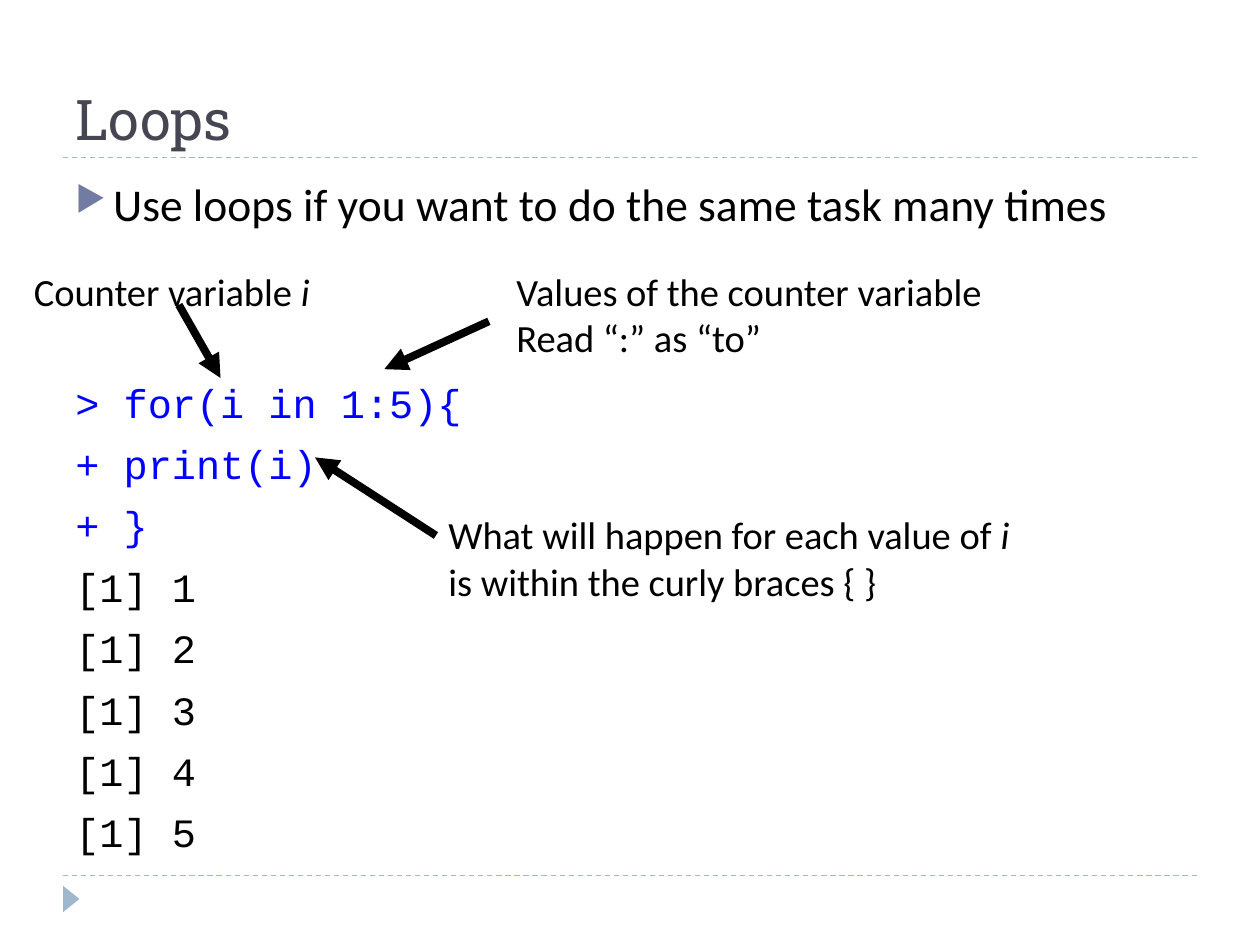
from lxml.etree import SubElement
from pptx import Presentation
from pptx.dml.color import RGBColor
from pptx.enum.dml import MSO_LINE
from pptx.enum.shapes import MSO_CONNECTOR, MSO_SHAPE
from pptx.enum.text import MSO_ANCHOR
from pptx.oxml.ns import qn
from pptx.util import Inches, Pt

COLORS = {
    "title": "464653",
    "rule": "9FB8CD",
    "bullet": "727CA3",
    "code": "0000FF",
    "text": "000000",
}


def rgb(name):
    return RGBColor.from_string(COLORS[name])


def add_text(s, box, paragraphs, size=22, font="Calibri", color="text",
             anchor=MSO_ANCHOR.TOP, gap=0):
    tf = s.shapes.add_textbox(*map(Inches, box)).text_frame
    tf.word_wrap = True
    tf.vertical_anchor = anchor
    for i, runs in enumerate(paragraphs):
        p = tf.paragraphs[0] if i == 0 else tf.add_paragraph()
        p.space_before = Pt(gap if i else 0)
        for text, style in runs:
            r = p.add_run()
            r.text = text
            r.font.name = font
            r.font.size = Pt(size)
            r.font.italic = style == "italic"
            r.font.color.rgb = rgb(style if style in COLORS else color)
    return tf


def add_line(s, start, end, color, width):
    line = s.shapes.add_connector(
        MSO_CONNECTOR.STRAIGHT, *map(Inches, (*start, *end)))
    line.line.color.rgb = rgb(color)
    line.line.width = Pt(width)
    SubElement(line._element.spPr, qn("a:effectLst"))
    return line


def add_rule(s, left, top, width):
    rule = add_line(s, (left, top), (left + width, top), "rule", 0.75)
    rule.line.dash_style = MSO_LINE.DASH


def add_arrow(s, start, end):
    arrow = add_line(s, start, end, "text", 4.5)
    SubElement(arrow.line._get_or_add_ln(), qn("a:tailEnd"), type="triangle")


def add_bullet(p, char, color, percent, indent):
    pPr = p._p.get_or_add_pPr()
    pPr.set("marL", str(Inches(indent)))
    pPr.set("indent", str(-Inches(indent)))
    clr = SubElement(pPr, qn("a:buClr"))
    SubElement(clr, qn("a:srgbClr"), val=COLORS[color])
    SubElement(pPr, qn("a:buSzPct"), val=str(percent * 1000))
    SubElement(pPr, qn("a:buChar"), char=char)


def add_header(s, left, top, width, height):
    add_text(s, (left, top, width, height), [[("Loops", "title")]],
             size=32, font="Roboto Slab", anchor=MSO_ANCHOR.BOTTOM)
    add_rule(s, left, top + height, width)


def add_footer(s, left, top, width):
    add_rule(s, left, top, width)
    mark = s.shapes.add_shape(
        MSO_SHAPE.ISOSCELES_TRIANGLE,
        Inches(left - 0.04), Inches(top + 0.12), Inches(0.21), Inches(0.13))
    mark.rotation = 90
    mark.shadow.inherit = False
    mark.fill.solid()
    mark.fill.fore_color.rgb = rgb("rule")
    mark.line.fill.background()


def add_body(s, left, top, width):
    tf = add_text(
        s, (left, top, width, 0.55),
        [[("Use loops if you want to do the same task many times", "text")]],
        size=26)
    add_bullet(tf.paragraphs[0], "▶", "bullet", 76, 0.3)
    code = ["> for(i in 1:5){", "+ print(i)", "+ }"]
    output = [f"[1] {n}" for n in range(1, 6)]
    lines = [[(t, "code")] for t in code] + [[(t, "text")] for t in output]
    add_text(s, (left, top + 1.6, width, 3.8), lines,
             size=23, font="Courier New", gap=7.5)


def add_notes(s, left, top):
    add_text(s, (left, top, 2.58, 0.47),
             [[("Counter variable ", "text"), ("i", "italic")]])
    add_arrow(s, (left + 1.25, top + 0.34), (left + 1.58, top + 0.92))
    add_text(s, (left + 3.83, top, 4.08, 0.84),
             [[("Values of the counter variable", "text")],
              [("Read “:” as “to”", "text")]])
    add_arrow(s, (left + 3.71, top + 0.47), (left + 2.88, top + 0.85))
    add_arrow(s, (left + 3.29, top + 2.17), (left + 2.33, top + 1.55))
    add_text(s, (left + 3.29, top + 1.93, 4.75, 0.84),
             [[("What will happen for each value of ", "text"),
               ("i ", "italic"),
               ("is within the curly braces { }", "text")]])


def main():
    prs = Presentation()
    prs.slide_width, prs.slide_height = Inches(10), Inches(7.5)
    s = prs.slides.add_slide(prs.slide_layouts[6])
    add_footer(s, 0.5, 6.95, 9)
    add_header(s, 0.5, 0.17, 9, 1.08)
    add_body(s, 0.5, 1.35, 9)
    add_notes(s, 0.17, 2.08)
    prs.save("out.pptx")


if __name__ == "__main__":
    main()
